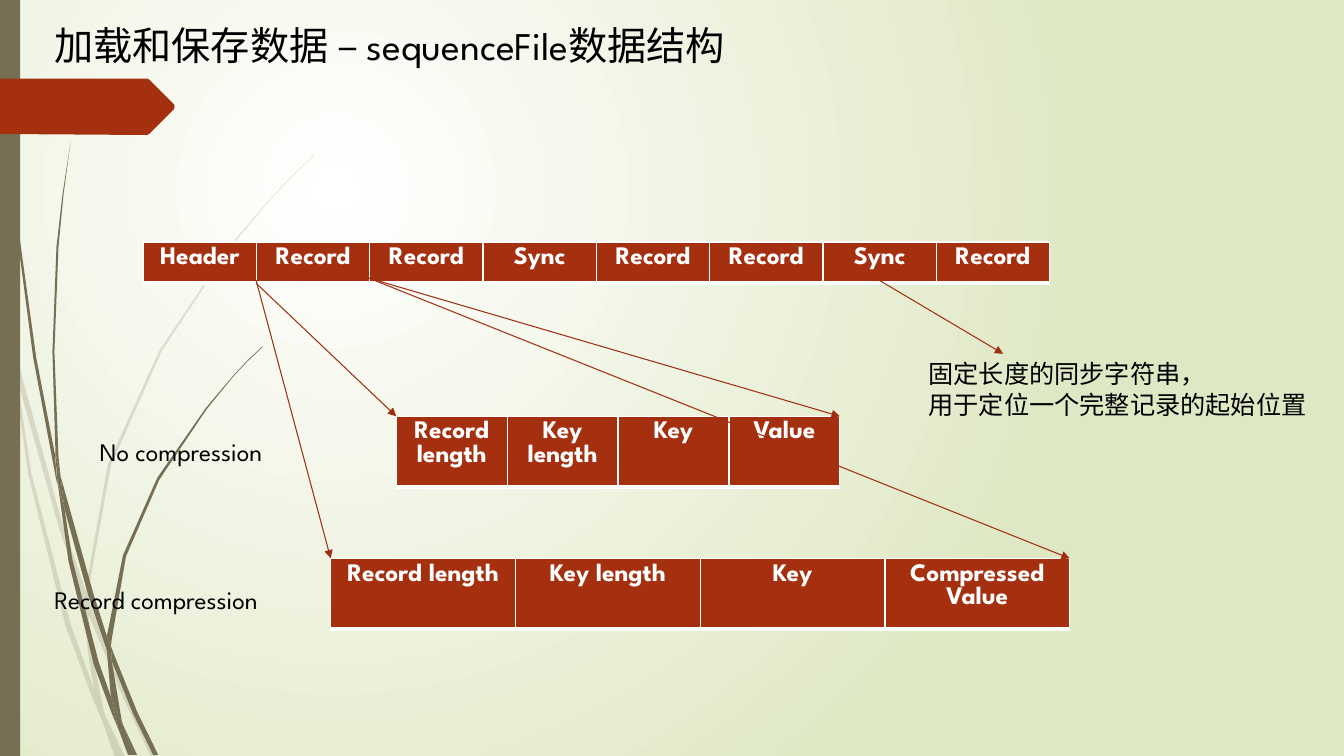
from lxml.etree import SubElement as Sub
from pptx import Presentation
from pptx.dml.color import RGBColor
from pptx.enum.shapes import MSO_CONNECTOR as CONN, MSO_SHAPE as SHAPE
from pptx.enum.text import MSO_AUTO_SIZE as AUTO, PP_ALIGN as ALIGN
from pptx.oxml.ns import qn
from pptx.util import Pt

PX = 9144
FONT = "League Spartan"
COLORS = {"white": "FFFFFF", "mist": "DFE8C4", "olive": "766F54",
          "rust": "A53010", "arrow": "9E2E0F", "ink": "000000"}

SLIDE = (0, 0, 1333, 750)
TITLE = (44, 16, 746, 57)
FILE = (142, 240, 899, 41)
PLAIN = (393, 413, 440, 70)
PACKED = (328, 554, 733, 70)
PLAIN_LABEL = (89, 428, 217, 40)
PACKED_LABEL = (44, 575, 271, 40)
SYNC_NOTE = (911, 351, 399, 71)

PALE_STALKS = [
    [(11, 350), (9, 322), (0, 282), (0, 299), (10, 344)],
    [(58, 522), (84, 599), (85, 586), (62, 520), (14, 345), (17, 376)],
    [(92, 607), (88, 596), (88, 610), (123, 694), (150, 751), (155, 751),
     (127, 692)],
    [(119, 751), (124, 751), (105, 711)],
    [(93, 683), (70, 619), (31, 469), (17, 376), (11, 350), (28, 470),
     (65, 621), (92, 693), (101, 714), (99, 707)],
    [(84, 599), (87, 646), (93, 683), (96, 692), (105, 711), (103, 706),
     (91, 646), (88, 610), (88, 608)],
    [(88, 584), (110, 462), (160, 349), (229, 245), (268, 198), (290, 175),
     (312, 154), (312, 153), (289, 175), (268, 197), (228, 244), (158, 348),
     (107, 461), (85, 584), (85, 586), (88, 596)],
    [(101, 714), (114, 751), (119, 751)],
    [(88, 608), (88, 610), (88, 596), (85, 586), (84, 599)],
    [(96, 692), (93, 683), (99, 707), (101, 714), (119, 751), (105, 711)],
]
DARK_STALKS = [
    [(7, 110), (17, 233), (33, 355), (56, 477), (57, 481), (55, 457),
     (55, 453), (36, 355), (19, 232), (8, 109), (5, 48), (4, 0), (3, 0),
     (4, 48)],
    [(88, 592), (106, 645), (106, 633), (106, 631), (93, 590), (60, 472),
     (64, 505)],
    [(113, 649), (110, 641), (111, 656), (132, 708), (152, 749), (157, 749),
     (136, 706)],
    [(110, 691), (98, 657), (72, 556), (64, 505), (57, 477), (68, 557),
     (93, 659), (111, 708), (117, 722), (116, 717)],
    [(60, 472), (58, 453), (54, 349), (58, 245), (63, 193), (70, 141),
     (62, 193), (56, 245), (52, 349), (55, 449)],
    [(133, 749), (136, 749), (122, 719)],
    [(57, 477), (64, 505), (60, 472), (55, 449), (55, 453)],
    [(111, 633), (125, 552), (158, 476), (205, 406), (231, 374), (245, 359),
     (261, 344), (260, 344), (245, 358), (231, 373), (204, 405), (156, 474),
     (122, 551), (106, 631), (110, 641)],
    [(117, 722), (127, 749), (131, 749)],
    [(106, 645), (110, 691), (116, 706), (122, 719), (121, 716), (111, 656),
     (109, 651)],
    [(106, 645), (109, 651), (111, 656), (110, 641), (106, 631), (106, 633)],
    [(116, 706), (110, 691), (116, 717), (117, 722), (130, 749), (133, 749),
     (122, 719)],
]
TAG = [(0, 78), (146, 78), (148, 79), (173, 104), (173, 108), (148, 133),
       (146, 134), (0, 133)]


def rgb(name):
    """Return the named colour."""
    return RGBColor.from_string(COLORS[name])


def emu(box):
    """Turn px lengths into EMU."""
    return [v * PX for v in box]


def paint(sp, color, opacity=100):
    """Fill a shape without line or shadow."""
    sp.shadow.inherit = False
    sp.fill.solid()
    sp.fill.fore_color.rgb = rgb(color)
    sp.line.fill.background()
    if opacity < 100:
        clr = sp.element.spPr.find(qn("a:solidFill"))[0]
        Sub(clr, qn("a:alpha"), val=str(opacity * 1000))


def add_outline(s, origin, points, color, opacity=100):
    """Draw a closed outline from its corner points."""
    x, y = origin
    pts = [(x + px, y + py) for px, py in points]
    fb = s.shapes.build_freeform(*pts[0], scale=PX)
    fb.add_line_segments(pts[1:], close=True)
    paint(fb.convert_to_shape(), color, opacity)


def add_backdrop(s, box):
    """Draw the gradient, the stalks, the side bar and the tag."""
    x, y, w, h = box
    fill = s.background.fill
    fill.gradient()
    for stop, color in zip(fill.gradient_stops, ("white", "mist")):
        stop.color.rgb = rgb(color)
    grad = s.element.find(".//" + qn("a:gradFill"))
    grad.remove(grad.find(qn("a:lin")))
    circle = Sub(grad, qn("a:path"), path="circle")
    Sub(circle, qn("a:fillToRect"), l="50000", t="50000", r="100000", b="100000")
    for points in PALE_STALKS:
        add_outline(s, (x, y), points, "olive", 20)
    for points in DARK_STALKS:
        add_outline(s, (x, y), points, "olive")
    paint(s.shapes.add_shape(SHAPE.RECTANGLE, *emu((x, y, 20, h))), "olive")
    add_outline(s, (x, y), TAG, "rust")


def write(tf, lines, size, color, bold=False, align=None):
    """Write one paragraph for each line."""
    for i, line in enumerate(lines):
        p = tf.add_paragraph() if i else tf.paragraphs[0]
        p.alignment = align
        r = p.add_run()
        r.text = line
        r.font.name, r.font.size, r.font.bold = FONT, Pt(size), bold
        r.font.color.rgb = rgb(color)


def add_label(s, box, *lines, size=18):
    """Place unwrapped text."""
    tf = s.shapes.add_textbox(*emu(box)).text_frame
    tf.word_wrap = False
    tf.auto_size = AUTO.SHAPE_TO_FIT_TEXT
    write(tf, lines, size, "ink")


def add_strip(s, box, fields):
    """Draw a one-row table with equal columns."""
    tbl = s.shapes.add_table(1, len(fields), *emu(box)).table
    tbl.first_row = tbl.horz_banding = False
    for col, cell, field in zip(tbl.columns, tbl.rows[0].cells, fields):
        col.width = round(box[2] * PX / len(fields))
        write(cell.text_frame, field.split("\n"), 18, "white", True, ALIGN.CENTER)
        tc_pr = cell._tc.get_or_add_tcPr()
        for side in "LRTB":
            width = Pt(3 if side == "B" else 1)
            ln = Sub(tc_pr, qn("a:ln" + side), w=str(width))
            Sub(Sub(ln, qn("a:solidFill")), qn("a:srgbClr"), val=COLORS["white"])
        cell.fill.solid()
        cell.fill.fore_color.rgb = rgb("rust")


def add_arrow(s, start, end):
    """Draw a thin arrow."""
    c = s.shapes.add_connector(CONN.STRAIGHT, *emu(start + end))
    c.line.color.rgb = rgb("arrow")
    c.line.width = Pt(0.75)
    Sub(c.line._get_or_add_ln(), qn("a:tailEnd"), type="triangle")
    Sub(c.element.spPr, qn("a:effectLst"))


def add_arrows(s, box):
    """Point from the file strip to both record strips and the sync note."""
    x, y, w, h = box
    left, right = x + w // 8, x + w // 4
    add_arrow(s, (left, y + h), PLAIN[:2])
    add_arrow(s, (right, y + 36), (PLAIN[0] + PLAIN[2], PLAIN[1]))
    add_arrow(s, (right, y + 36), (PACKED[0] + PACKED[2], PACKED[1]))
    add_arrow(s, (left, y + 38), PACKED[:2])
    add_arrow(s, (x + w * 13 // 16, y + 38), (SYNC_NOTE[0] + 84, SYNC_NOTE[1]))


def main():
    """Build the slide and save it."""
    prs = Presentation()
    prs.slide_width, prs.slide_height = emu(SLIDE[2:])
    s = prs.slides.add_slide(prs.slide_layouts[6])
    add_backdrop(s, SLIDE)
    add_label(s, TITLE, "加载和保存数据 – sequenceFile数据结构", size=28)
    add_strip(s, FILE, ["Header", "Record", "Record", "Sync"]
              + ["Record", "Record", "Sync", "Record"])
    add_strip(s, PLAIN, ["Record length", "Key length", "Key", "Value"])
    add_strip(s, PACKED, ["Record length", "Key length", "Key", "Compressed\nValue"])
    add_arrows(s, FILE)
    add_label(s, PLAIN_LABEL, "No compression")
    add_label(s, PACKED_LABEL, "Record compression")
    add_label(s, SYNC_NOTE, "固定长度的同步字符串，", "用于定位一个完整记录的起始位置")
    prs.save("out.pptx")


if __name__ == "__main__":
    main()
